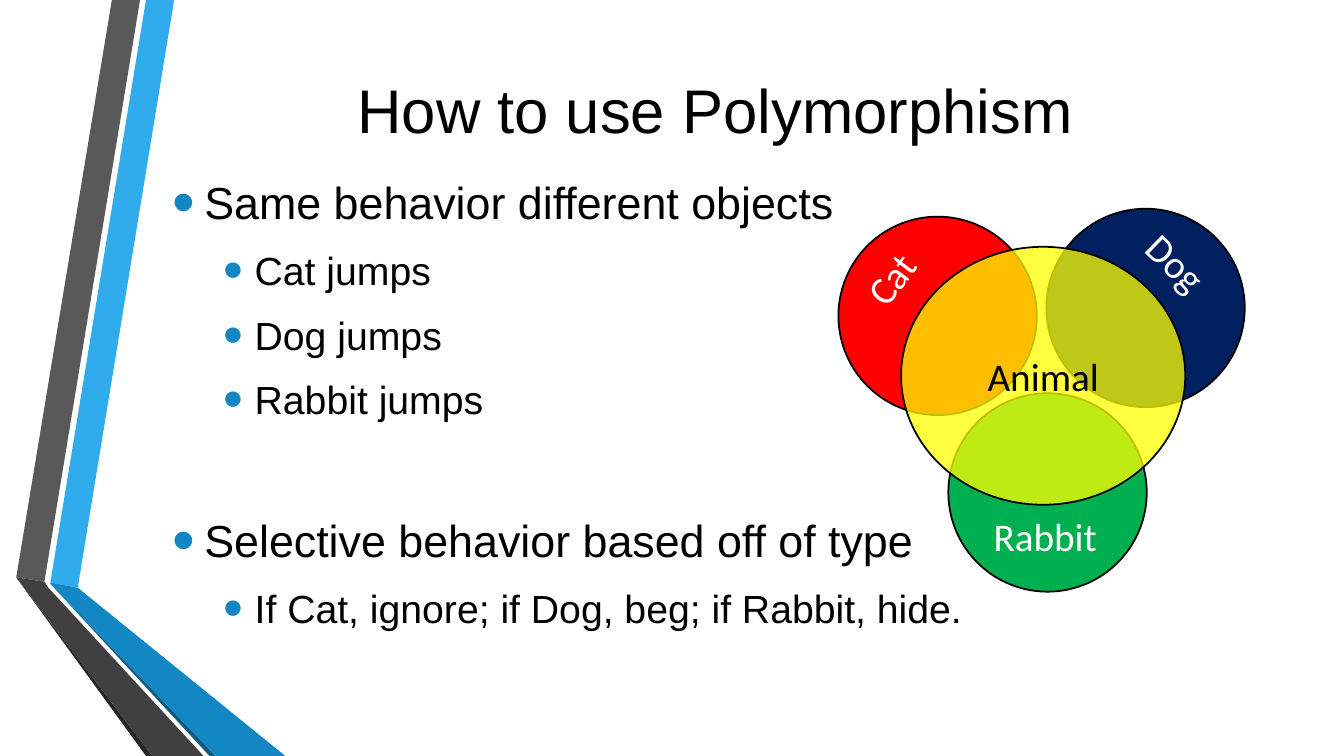
"""Builds the slide "How to use Polymorphism" with a Venn diagram of animals."""
from lxml import etree
from pptx import Presentation
from pptx.dml.color import RGBColor
from pptx.enum.shapes import MSO_SHAPE
from pptx.enum.text import MSO_ANCHOR, MSO_AUTO_SIZE, PP_ALIGN
from pptx.oxml.ns import qn
from pptx.util import Cm, Pt

OVAL = MSO_SHAPE.OVAL
MIDDLE = MSO_ANCHOR.MIDDLE
GROW = MSO_AUTO_SIZE.SHAPE_TO_FIT_TEXT
LEFT, CENTER = PP_ALIGN.LEFT, PP_ALIGN.CENTER

COLORS = {
    "black": "000000", "white": "FFFFFF",
    "sky": "30ACEC", "blue": "1287C3", "deep blue": "0C5A82",
    "gray": "595959", "dark gray": "404040", "charcoal": "262626",
    "red": "FF0000", "navy": "002060", "green": "00B050", "yellow": "FFFF00",
}


def rgb(name):
    return RGBColor.from_string(COLORS[name])


def write(paragraph, text, size=28, font="Arial", color="black", align=LEFT):
    run = paragraph.add_run()
    run.text = text
    run.font.size = Pt(size)
    run.font.name = font
    run.font.color.rgb = rgb(color)
    paragraph.alignment = align


deck = Presentation()
deck.slide_width, deck.slide_height = Cm(33.87), Cm(19.05)
slide = deck.slides.add_slide(deck.slide_layouts[6])
shapes = slide.shapes

ribbons = [
    ("sky", [(1.27, 14.68), (1.96, 14.81), (4.39, 0), (3.68, 0)]),
    ("gray", [(3.53, 0), (2.82, 0), (0.41, 14.55), (1.12, 14.66)]),
    ("charcoal", [(0.41, 14.55), (3.68, 19.05), (3.84, 19.05)]),
    ("deep blue", [(1.27, 14.71), (5.28, 19.05), (5.44, 19.05)]),
    ("blue", [(1.27, 14.71), (5.44, 19.05), (7.19, 19.05), (1.96, 14.81), (1.27, 14.68)]),
    ("dark gray", [(5.13, 19.05), (1.22, 14.81), (1.12, 14.66), (0.41, 14.55), (3.84, 19.05)]),
]
for color, corners in ribbons:
    start, *others = [(Cm(x), Cm(y)) for x, y in corners]
    outline = shapes.build_freeform(*start)
    outline.add_line_segments(others, close=True)
    ribbon = outline.convert_to_shape()
    ribbon.shadow.inherit = False
    ribbon.fill.solid()
    ribbon.fill.fore_color.rgb = rgb(color)
    ribbon.line.fill.background()

title = shapes.add_textbox(Cm(4.11), Cm(1.32), Cm(27.84), Cm(2.84)).text_frame
title.word_wrap = True
title.vertical_anchor = MIDDLE
write(title.paragraphs[0], "How to use Polymorphism", size=44, align=CENTER)

body = shapes.add_textbox(Cm(4.11), Cm(4.29), Cm(27.84), Cm(11.81)).text_frame
body.word_wrap = True
points = [
    ("Same behavior different objects", 0, 4),
    ("Cat jumps", 1, 6.5),
    ("Dog jumps", 1, 6.5),
    ("Rabbit jumps", 1, 6.5),
    ("Selective behavior based off of type", 0, 58.5),
    ("If Cat, ignore; if Dog, beg; if Rabbit, hide.", 1, 6.5),
]
for number, (text, level, gap) in enumerate(points):
    point = body.add_paragraph() if number else body.paragraphs[0]
    write(point, text, size=32 - 4 * level)
    point.level = level
    point.space_before, point.space_after = Pt(gap), Pt(6)
    properties = point._p.get_or_add_pPr()
    properties.set("marL", str(Cm(0.79 + 1.27 * level)))
    properties.set("indent", str(Cm(-0.79)))
    bullet_color = etree.SubElement(properties, qn("a:buClr"))
    etree.SubElement(bullet_color, qn("a:srgbClr"), val=COLORS["blue"])
    etree.SubElement(properties, qn("a:buSzPct"), val="145000")
    etree.SubElement(properties, qn("a:buFont"), typeface="Arial")
    etree.SubElement(properties, qn("a:buChar"), char="•")

circles = [
    ("red", 21.13, 5.46, 5, 5),
    ("navy", 26.37, 5.26, 5, 5),
    ("green", 23.9, 9.91, 5, 5),
    ("yellow", 22.71, 6.22, 7.16, 6.5),
]
for color, *place in circles:
    circle = shapes.add_shape(OVAL, *map(Cm, place))
    circle.shadow.inherit = False
    circle.fill.solid()
    circle.fill.fore_color.rgb = rgb(color)
    circle.line.color.rgb = rgb("black")
    circle.line.width = Pt(1.25)
    if color == "yellow":
        tint = circle._element.spPr.find(qn("a:solidFill"))[0]
        etree.SubElement(tint, qn("a:alpha"), val="75000")

labels = [
    ("Cat", "white", 21.51, 6.25, 1.93, 306.8),
    ("Dog", "white", 28.58, 5.94, 2.24, 43.9),
    ("Rabbit", "white", 24.79, 12.78, 3.25, 0),
    ("Animal", "black", 24.64, 8.76, 3.45, 0),
]
for text, color, left, top, width, angle in labels:
    label = shapes.add_textbox(Cm(left), Cm(top), Cm(width), Cm(1.45))
    label.rotation = angle
    label.text_frame.word_wrap = False
    label.text_frame.auto_size = GROW
    write(label.text_frame.paragraphs[0], text, font="Calibri", color=color)

deck.save("out.pptx")
